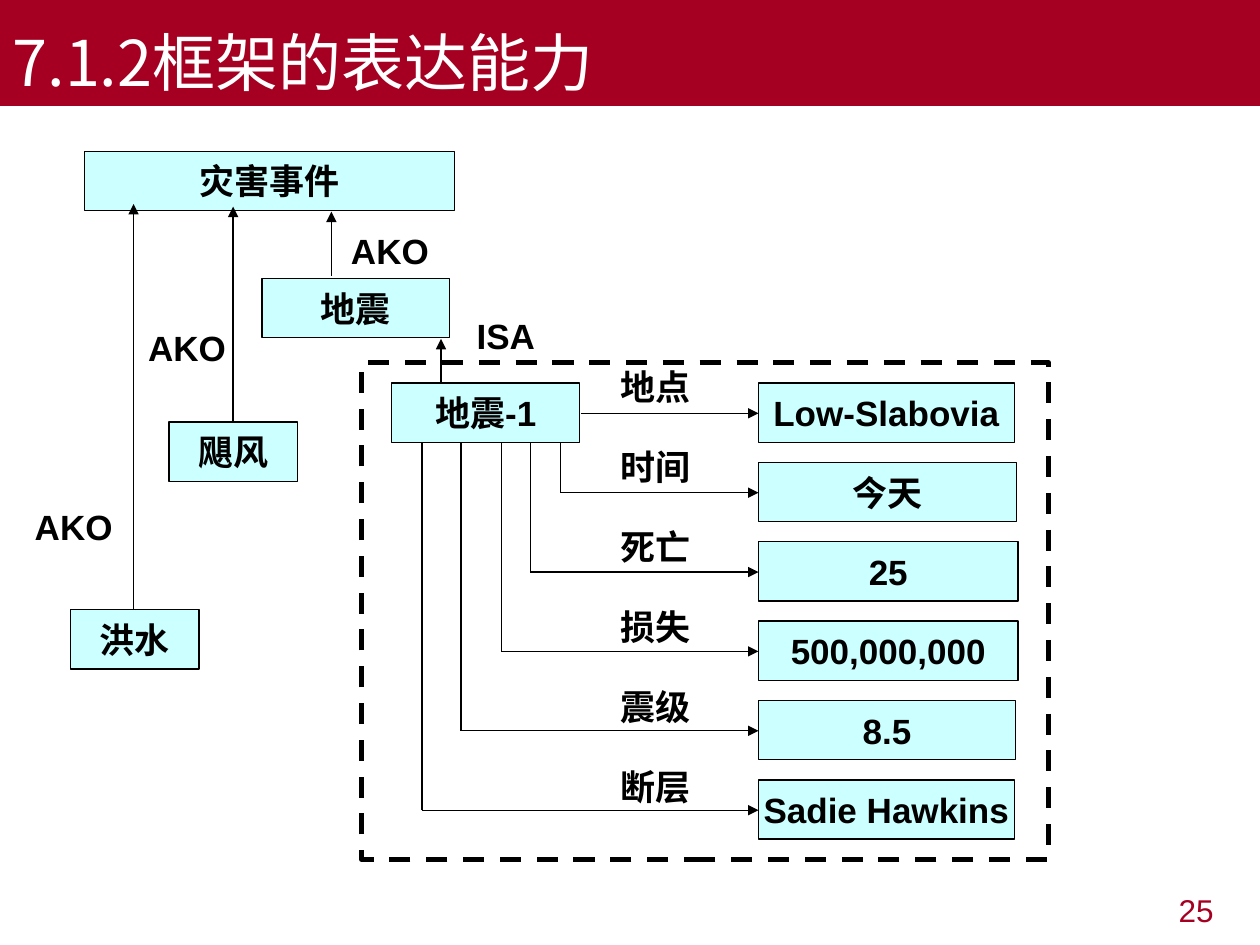
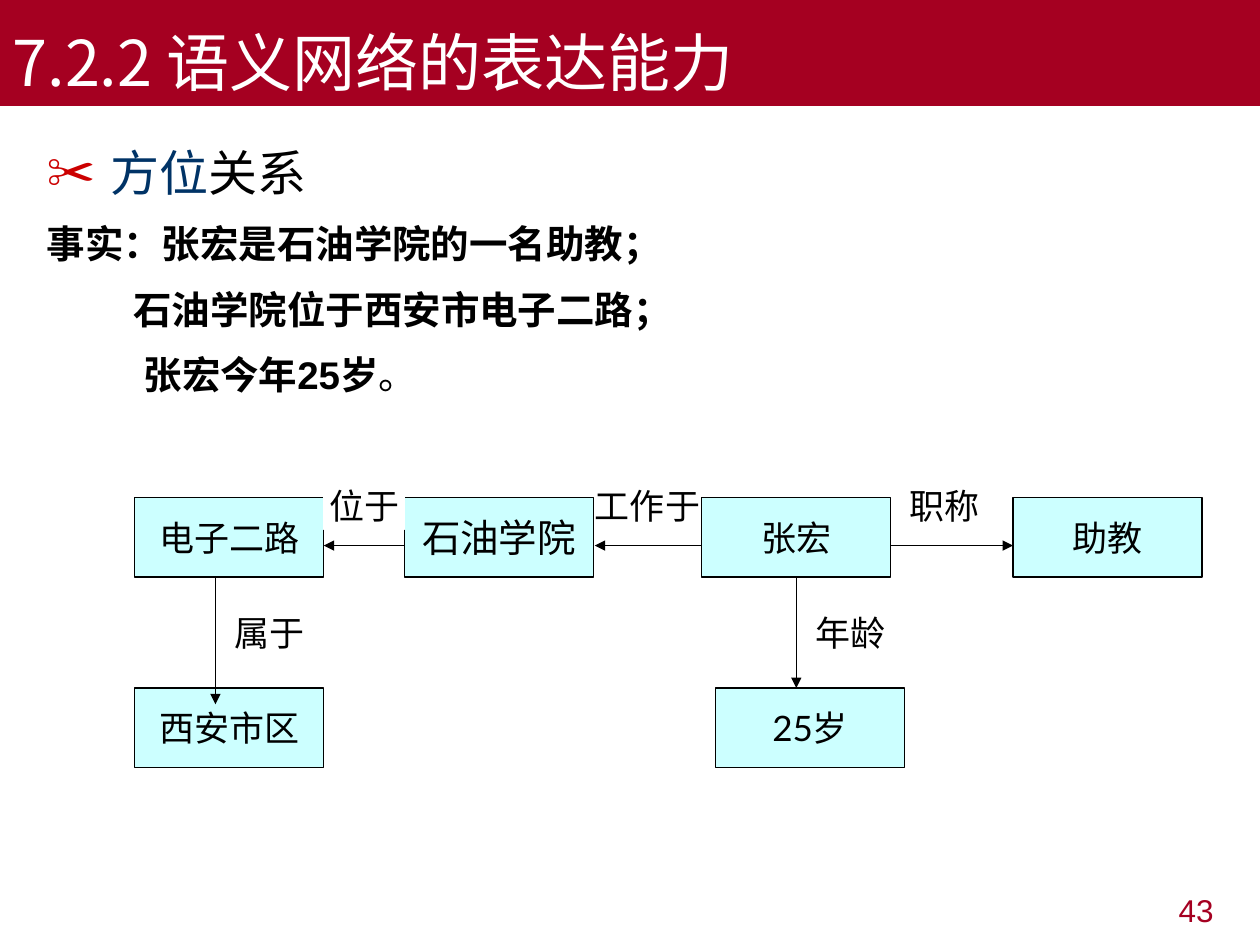
"""Build two slides on frames and semantic networks."""
from lxml import etree
from pptx import Presentation
from pptx.dml.color import RGBColor
from pptx.enum.dml import MSO_LINE
from pptx.enum.shapes import MSO_CONNECTOR, MSO_SHAPE
from pptx.enum.text import MSO_ANCHOR, MSO_AUTO_SIZE, PP_ALIGN
from pptx.oxml.ns import qn
from pptx.util import Inches, Pt

RECTANGLE = MSO_SHAPE.RECTANGLE
STRAIGHT = MSO_CONNECTOR.STRAIGHT
DASH = MSO_LINE.DASH
LEFT, CENTER, RIGHT = PP_ALIGN.LEFT, PP_ALIGN.CENTER, PP_ALIGN.RIGHT
MIDDLE, BOTTOM = MSO_ANCHOR.MIDDLE, MSO_ANCHOR.BOTTOM
NO_AUTOFIT = MSO_AUTO_SIZE.NONE

CRIMSON = RGBColor(0xA5, 0x00, 0x21)
PALE_CYAN = RGBColor(0xCC, 0xFF, 0xFF)
NAVY = RGBColor(0x00, 0x33, 0x66)
SCISSOR_RED = RGBColor(0xCC, 0x00, 0x00)
BLACK = RGBColor(0x00, 0x00, 0x00)
WHITE = RGBColor(0xFF, 0xFF, 0xFF)

HAN_FONT = "Noto Sans CJK SC"
FRAME_FONT = "Arial"
NETWORK_FONT = "Lato"
TITLE_ONLY, TITLE_AND_BODY = 5, 1


def place(shape, left, top, width, height):
    """Move and size a placeholder."""
    shape.left, shape.top = Inches(left), Inches(top)
    shape.width, shape.height = Inches(width), Inches(height)


def add_run(paragraph, text, size, color=BLACK, font=FRAME_FONT, bold=False):
    """Add one formatted run with its East Asian font."""
    run = paragraph.add_run()
    run.text = text
    run.font.size = Pt(size)
    run.font.bold = bold
    run.font.name = font
    run.font.color.rgb = color
    east_asian = etree.SubElement(run.font._element, qn("a:ea"))
    east_asian.set("typeface", HAN_FONT)


def write_centred(shape, text, size, font, bold):
    """Write one unwrapped line in the middle of a shape."""
    frame = shape.text_frame
    frame.word_wrap = False
    frame.vertical_anchor = MIDDLE
    frame.paragraphs[0].alignment = CENTER
    add_run(frame.paragraphs[0], text, size, font=font, bold=bold)


def add_rectangle(slide, box, fill, outline, weight=0.75):
    """Add a flat rectangle, hollow if there is no fill."""
    shape = slide.shapes.add_shape(RECTANGLE, *map(Inches, box))
    shape.shadow.inherit = False
    if fill is None:
        shape.fill.background()
    else:
        shape.fill.solid()
        shape.fill.fore_color.rgb = fill
    shape.line.color.rgb = outline
    shape.line.width = Pt(weight)
    return shape


def add_frame_node(slide, text, left, top, width):
    """Add a bold node of the frame diagram."""
    node = add_rectangle(slide, (left, top, width, 0.47), PALE_CYAN, BLACK)
    write_centred(node, text, 20, FRAME_FONT, True)


def add_frame_label(slide, text, left, top):
    """Add a bold relation name to the frame diagram."""
    label = slide.shapes.add_textbox(*map(Inches, (left, top, 0.87, 0.39)))
    write_centred(label, text, 20, FRAME_FONT, True)


def add_network_node(slide, text, left, top, size=20):
    """Add a node of the semantic network."""
    node = add_rectangle(slide, (left, top, 1.5, 0.63), PALE_CYAN, BLACK)
    write_centred(node, text, size, NETWORK_FONT, False)


def add_network_label(slide, text, left, top):
    """Add a relation name on white to the semantic network."""
    label = add_rectangle(slide, (left, top, 0.64, 0.38), WHITE, WHITE)
    write_centred(label, text, 20, NETWORK_FONT, False)


def add_link(slide, x1, y1, x2, y2, arrow=True):
    """Add a thin straight line, usually with an arrowhead at its end."""
    link = slide.shapes.add_connector(STRAIGHT, *map(Inches, (x1, y1, x2, y2)))
    link.line.color.rgb = BLACK
    link.line.width = Pt(0.75)
    properties = link._element.spPr
    if arrow:
        etree.SubElement(properties.find(qn("a:ln")), qn("a:tailEnd"), type="triangle")
    etree.SubElement(properties, qn("a:effectLst"))


def start_slide(deck, layout, heading, number):
    """Add a slide with its title band and page number."""
    slide = deck.slides.add_slide(deck.slide_layouts[layout])
    title = slide.shapes.title
    place(title, 0, 0, 10, 0.84)
    title.fill.solid()
    title.fill.fore_color.rgb = CRIMSON
    frame = title.text_frame
    frame.auto_size = NO_AUTOFIT
    frame.vertical_anchor = BOTTOM
    frame.paragraphs[0].alignment = LEFT
    add_run(frame.paragraphs[0], heading, 36, WHITE, HAN_FONT)

    page = slide.shapes.add_textbox(*map(Inches, (7.4, 7.02, 2.33, 0.52)))
    page.text_frame.word_wrap = True
    page.text_frame.paragraphs[0].alignment = RIGHT
    add_run(page.text_frame.paragraphs[0], number, 18, CRIMSON)
    return slide


def format_line(paragraph, before, margin, indent, bullet=None):
    """Set the spacing, indent and bullet of a body line."""
    paragraph.line_spacing = 1.2
    paragraph.space_before = Pt(before)
    properties = paragraph._p.get_or_add_pPr()
    properties.set("marL", str(Inches(margin)))
    properties.set("indent", str(Inches(indent)))
    if bullet is None:
        etree.SubElement(properties, qn("a:buNone"))
        return
    color = etree.SubElement(properties, qn("a:buClr"))
    etree.SubElement(color, qn("a:srgbClr"), val=str(SCISSOR_RED))
    etree.SubElement(properties, qn("a:buChar"), char=bullet)


def build_frame_slide(deck):
    """Draw the disaster frames and the slots of one earthquake."""
    slide = start_slide(deck, TITLE_ONLY, "7.1.2框架的表达能力", "25")
    for text, left, top, width in (
        ("灾害事件", 0.67, 1.2, 2.94),
        ("地震", 2.08, 2.21, 1.49),
        ("地震-1", 3.11, 3.04, 1.49),
        ("飓风", 1.34, 3.35, 1.02),
        ("洪水", 0.56, 4.84, 1.02),
    ):
        add_frame_node(slide, text, left, top, width)

    slots = (
        ("地点", "Low-Slabovia", 4.61, 2.03),
        ("时间", "今天", 4.45, 2.05),
        ("死亡", "25", 4.21, 2.06),
        ("损失", "500,000,000", 3.98, 2.06),
        ("震级", "8.5", 3.66, 2.04),
        ("断层", "Sadie Hawkins", 3.35, 2.03),
    )
    for row, (slot, value, branch, width) in enumerate(slots):
        drop = 0.63 * row
        add_frame_node(slide, value, 6.02, 3.04 + drop, width)
        add_link(slide, branch, 3.28 + drop, 6.02, 3.28 + drop)
        if row:
            add_link(slide, branch, 3.28 + drop, branch, 3.51, arrow=False)
        add_frame_label(slide, slot, 4.77, 2.87 + 0.635 * row)

    for x, start, end in (
        (3.5, 3.04, 2.69), (2.63, 2.19, 1.68), (1.85, 3.35, 1.64), (1.06, 4.84, 1.62),
    ):
        add_link(slide, x, start, x, end)

    instance = add_rectangle(slide, (2.87, 2.88, 5.45, 3.94), None, BLACK, 3)
    instance.line.dash_style = DASH
    for text, left, top in (
        ("ISA", 3.58, 2.47), ("AKO", 2.66, 1.79), ("AKO", 1.05, 2.56), ("AKO", 0.15, 3.98),
    ):
        add_frame_label(slide, text, left, top)


def write_facts(body):
    """Write the relation heading and its facts."""
    place(body, 0.27, 0.99, 9.45, 5.91)
    frame = body.text_frame
    frame.auto_size = NO_AUTOFIT
    heading = frame.paragraphs[0]
    format_line(heading, 7, 0.51, -0.51, "✂")
    add_run(heading, "方位", 28, NAVY)
    add_run(heading, "关系", 28)
    for text, margin, indent in (
        ("事实：张宏是石油学院的一名助教；", 0.51, -0.51),
        ("石油学院位于西安市电子二路；", 0.69, 0),
        ("张宏今年25岁", 0.77, 0),
    ):
        fact = frame.add_paragraph()
        format_line(fact, 5.5, margin, indent)
        add_run(fact, text, 22, bold=True)
    add_run(fact, "。", 22)


def build_network_slide(deck):
    """Draw the facts and the semantic network made from them."""
    slide = start_slide(deck, TITLE_AND_BODY, "7.2.2 语义网络的表达能力", "43")
    write_facts(slide.placeholders[1])

    upper, lower = 3.95, 5.46
    add_network_node(slide, "电子二路", 1.07, upper)
    add_network_node(slide, "石油学院", 3.21, upper, 22)
    add_network_node(slide, "张宏", 5.57, upper)
    add_network_node(slide, "助教", 8.04, upper)
    add_network_node(slide, "西安市区", 1.07, lower)
    add_network_node(slide, "25岁", 5.68, lower)

    for start, end in ((5.57, 4.72), (3.21, 2.57), (7.07, 8.04)):
        add_link(slide, start, 4.33, end, 4.33)
    for x, end in ((1.71, 5.59), (6.32, lower)):
        add_link(slide, x, 4.58, x, end)

    for text, left in (("职称", 7.18), ("工作于", 4.82), ("位于", 2.57)):
        add_network_label(slide, text, left, 3.82)
    for text, left in (("属于", 1.82), ("年龄", 6.43)):
        add_network_label(slide, text, left, 4.83)


def main():
    """Build and save the deck."""
    deck = Presentation()
    deck.slide_width, deck.slide_height = Inches(10), Inches(7.5)
    build_frame_slide(deck)
    build_network_slide(deck)
    deck.save("out.pptx")


if __name__ == "__main__":
    main()
